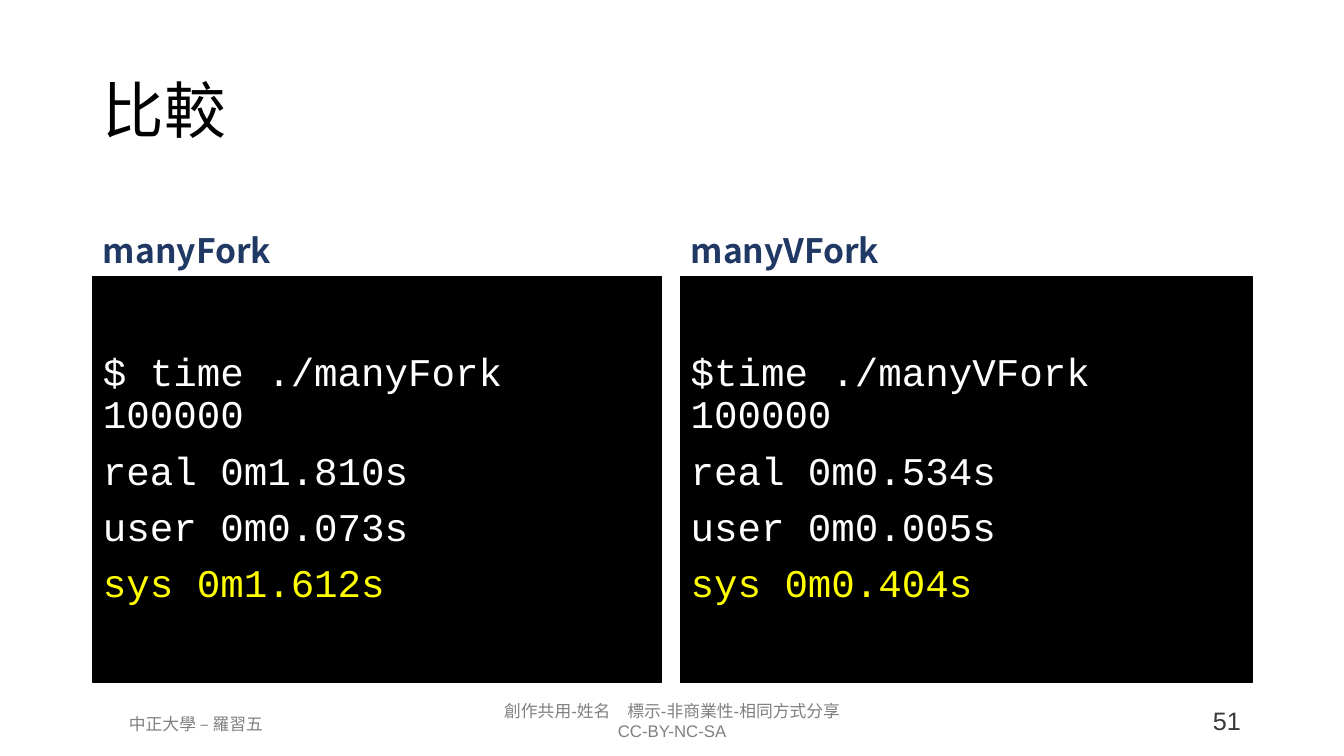
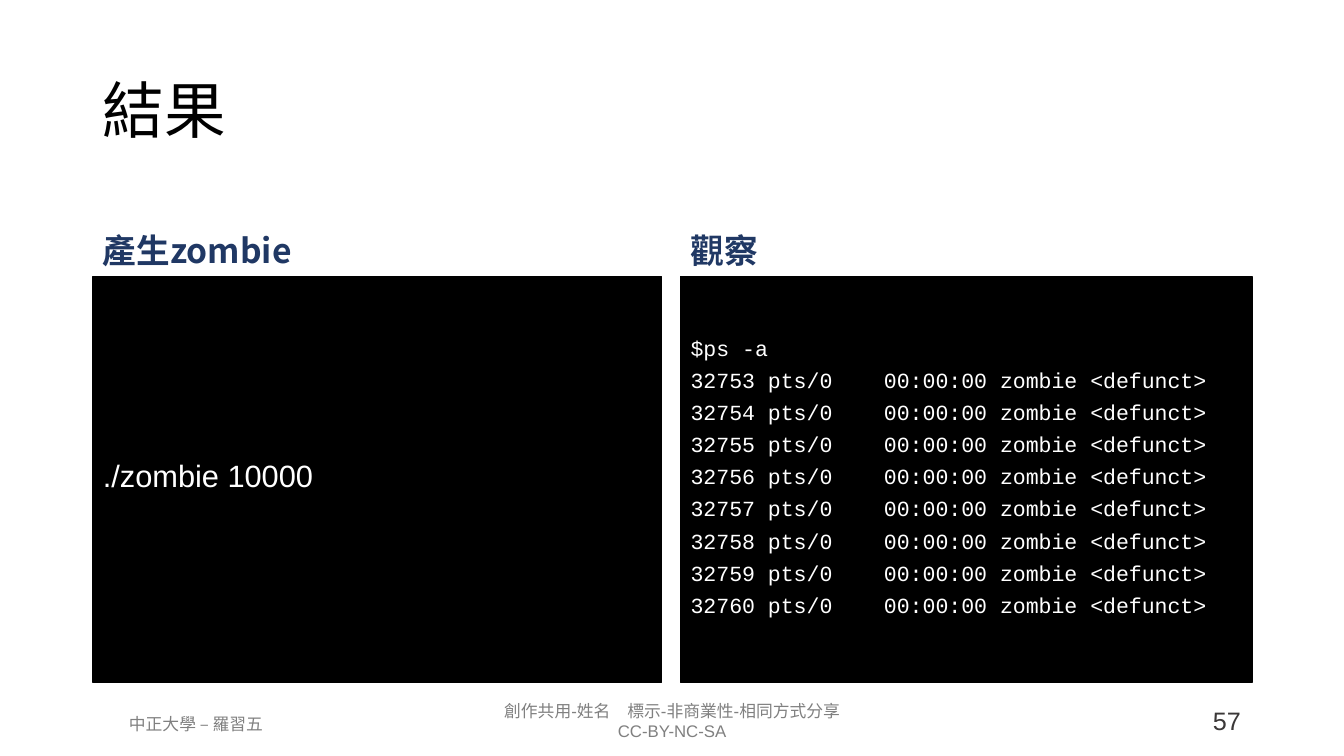
from dataclasses import dataclass

from lxml import etree
from pptx import Presentation
from pptx.dml.color import RGBColor
from pptx.enum.text import MSO_ANCHOR, MSO_AUTO_SIZE, PP_ALIGN
from pptx.oxml.ns import qn
from pptx.util import Cm, Pt


@dataclass(frozen=True)
class Theme:
    title_color: str = "000000"
    heading_color: str = "203864"
    terminal_fill: str = "000000"
    terminal_text: str = "FFFFFF"
    highlight: str = "FFFF00"
    footer_color: str = "808080"
    number_color: str = "3B3838"
    cjk_font: str = "Noto Sans CJK SC"
    sans_font: str = "Arial"
    code_font: str = "Courier New"
    title_size: float = 44
    heading_size: float = 24
    footer_size: float = 12
    number_size: float = 18
    line_spacing: float = 0.9
    paragraph_gap: float = 10


THEME = Theme()
COMPARISON_LAYOUT = 4


@dataclass(frozen=True)
class Box:
    left: float
    top: float
    width: float
    height: float

    def place(self, shape):
        shape.left, shape.top = Cm(self.left), Cm(self.top)
        shape.width, shape.height = Cm(self.width), Cm(self.height)


@dataclass(frozen=True)
class Terminal:
    heading: str
    lines: tuple
    size: float
    font: str = THEME.code_font
    spacing: float = THEME.line_spacing
    highlighted: str = ""


TITLE_BOX = Box(2.34, 1.02, 29.21, 3.68)
COLUMNS = (Box(2.34, 4.67, 14.33, 12.53), Box(17.15, 4.67, 14.4, 12.53))
HEADING_HEIGHT = 2.29
AUTHOR_BOX = Box(1.75, 17.86, 6.38, 0.76)
LICENSE_BOX = Box(10.69, 17.53, 12.5, 1.27)
NUMBER_BOX = Box(25.3, 17.65, 6.22, 1.02)

PS_LINES = ("$ps -a",) + tuple(
    f"{pid} pts/0    00:00:00 zombie <defunct>" for pid in range(32753, 32761)
)
SLIDES = (
    ("比較", 51, (
        Terminal("manyFork",
                 ("$ time ./manyFork 100000", "real 0m1.810s",
                  "user 0m0.073s", "sys 0m1.612s"),
                 28, highlighted="sys"),
        Terminal("manyVFork",
                 ("$time ./manyVFork 100000", "real 0m0.534s",
                  "user 0m0.005s", "sys 0m0.404s"),
                 28, highlighted="sys"),
    )),
    ("結果", 57, (
        Terminal("產生zombie", ("./zombie 10000",), 22,
                 font=THEME.sans_font, spacing=0.7),
        Terminal("觀察", PS_LINES, 15.4, spacing=0.7),
    )),
)


def format_span(span, size, color, font, bold=False):
    span.font.size = Pt(size)
    span.font.bold = bold
    span.font.color.rgb = RGBColor.from_string(color)
    span.font.name = font
    # East Asian glyphs need their own typeface entry
    east_asian = etree.SubElement(span.font._element, qn("a:ea"))
    east_asian.set("typeface", THEME.cjk_font)


def fill_text(shape, lines, size, color, font, anchor=MSO_ANCHOR.MIDDLE,
              align=PP_ALIGN.LEFT, spacing=1.0, gap=0, bold=False):
    frame = shape.text_frame
    frame.text = "\n".join(lines)
    frame.word_wrap = True
    frame.auto_size = MSO_AUTO_SIZE.NONE
    frame.vertical_anchor = anchor
    for index, paragraph in enumerate(frame.paragraphs):
        properties = paragraph._p.get_or_add_pPr()
        properties.set("marL", "0")
        properties.set("indent", "0")
        etree.SubElement(properties, qn("a:buNone"))
        paragraph.alignment = align
        paragraph.line_spacing = spacing
        paragraph.space_before = Pt(gap if index else 0)
        for span in paragraph.runs:
            format_span(span, size, color, font, bold)


def add_title(page, box, text):
    title = page.shapes.title
    box.place(title)
    fill_text(title, [text], THEME.title_size, THEME.title_color,
              THEME.cjk_font, spacing=THEME.line_spacing)


def add_terminal_column(heading, body, box, terminal):
    # Heading above the terminal
    Box(box.left, box.top, box.width, HEADING_HEIGHT).place(heading)
    fill_text(heading, [terminal.heading], THEME.heading_size,
              THEME.heading_color, THEME.cjk_font, MSO_ANCHOR.BOTTOM,
              spacing=THEME.line_spacing, bold=True)
    # Black terminal window
    Box(box.left, box.top + HEADING_HEIGHT, box.width,
        box.height - HEADING_HEIGHT).place(body)
    body.fill.solid()
    body.fill.fore_color.rgb = RGBColor.from_string(THEME.terminal_fill)
    body.line.color.rgb = RGBColor.from_string(THEME.terminal_fill)
    body.line.width = Pt(1)
    fill_text(body, terminal.lines, terminal.size, THEME.terminal_text,
              terminal.font, spacing=terminal.spacing, gap=THEME.paragraph_gap)
    # Highlighted measurement
    for paragraph in body.text_frame.paragraphs:
        if terminal.highlighted and paragraph.text.startswith(terminal.highlighted):
            for span in paragraph.runs:
                span.font.color.rgb = RGBColor.from_string(THEME.highlight)


def add_footer(page, number):
    small = (THEME.footer_size, THEME.footer_color)
    large = (THEME.number_size, THEME.number_color)
    parts = (
        (LICENSE_BOX, ["創作共用-姓名　標示-非商業性-相同方式分享", "CC-BY-NC-SA"],
         small, PP_ALIGN.CENTER),
        (AUTHOR_BOX, ["中正大學 – 羅習五"], small, PP_ALIGN.CENTER),
        (NUMBER_BOX, [str(number)], large, PP_ALIGN.RIGHT),
    )
    for box, lines, (size, color), align in parts:
        shape = page.shapes.add_textbox(0, 0, 0, 0)
        box.place(shape)
        fill_text(shape, lines, size, color, THEME.sans_font,
                  MSO_ANCHOR.TOP, align)


def add_comparison_page(deck, title, number, terminals):
    page = deck.slides.add_slide(deck.slide_layouts[COMPARISON_LAYOUT])
    add_title(page, TITLE_BOX, title)
    # Placeholders alternate between heading and body, left to right
    holders = {holder.placeholder_format.idx: holder for holder in page.placeholders}
    for column, (box, terminal) in enumerate(zip(COLUMNS, terminals)):
        add_terminal_column(holders[2 * column + 1], holders[2 * column + 2],
                            box, terminal)
    add_footer(page, number)


def main():
    deck = Presentation()
    deck.slide_width, deck.slide_height = Cm(33.87), Cm(19.05)
    for title, number, terminals in SLIDES:
        add_comparison_page(deck, title, number, terminals)
    deck.save("out.pptx")


if __name__ == "__main__":
    main()
